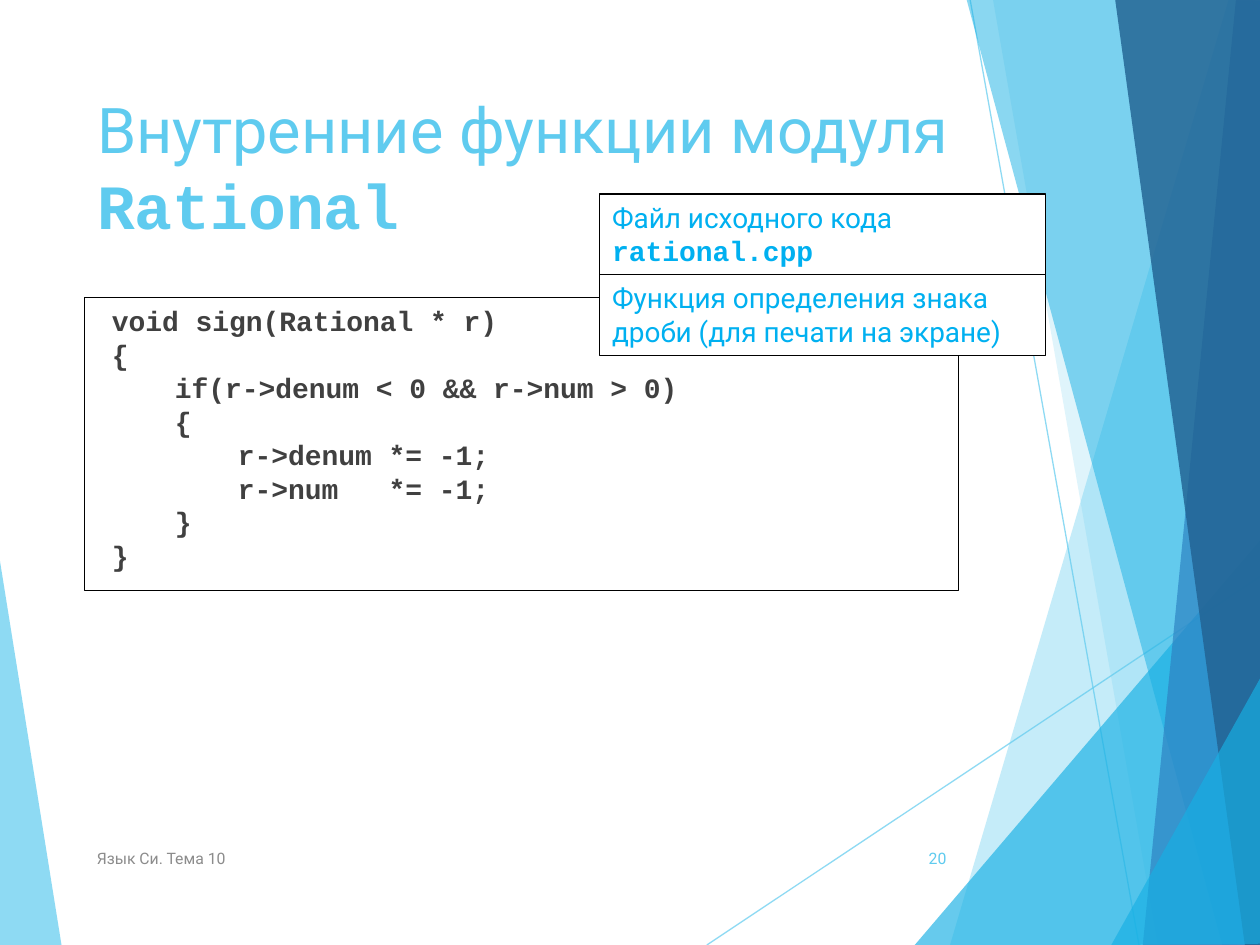
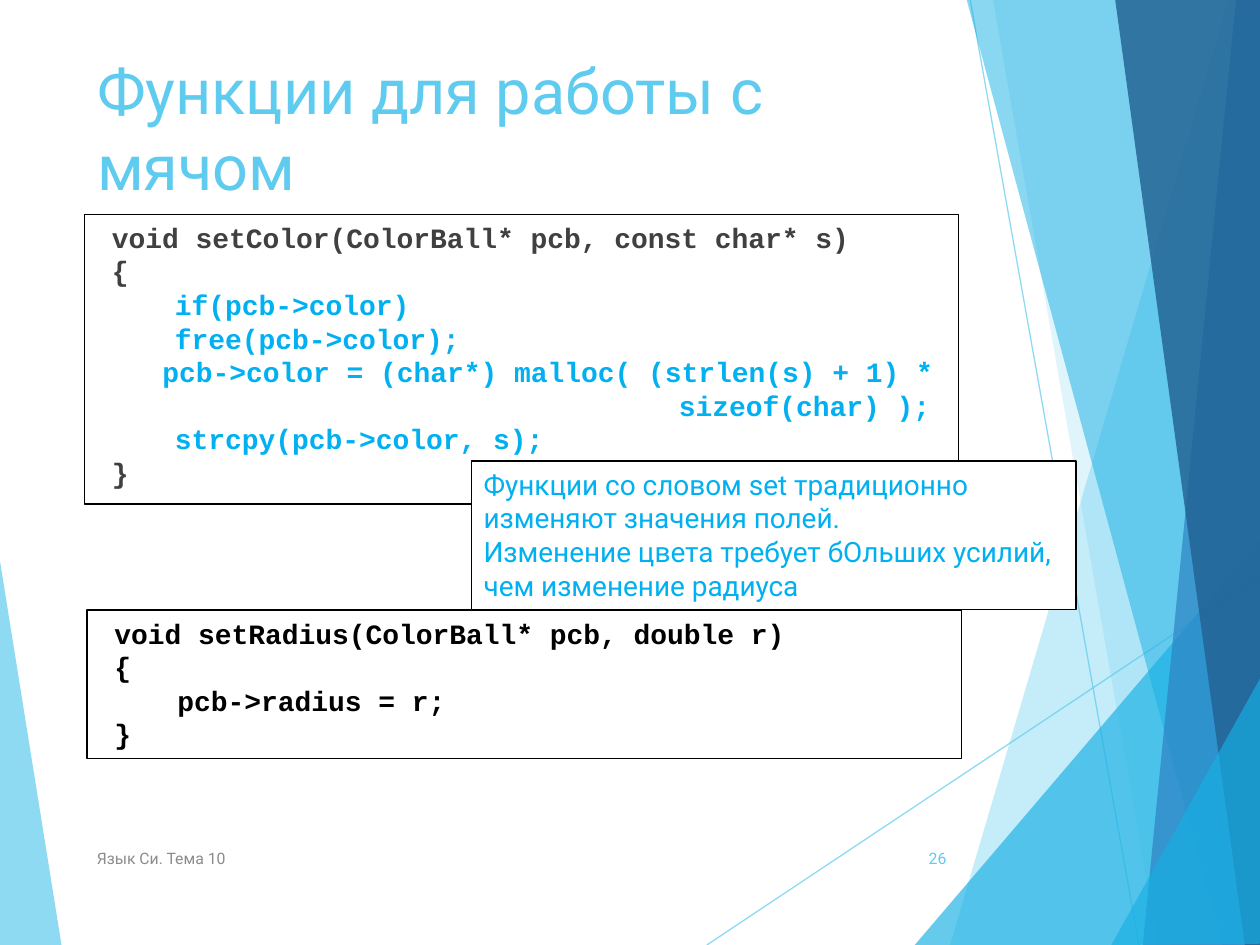
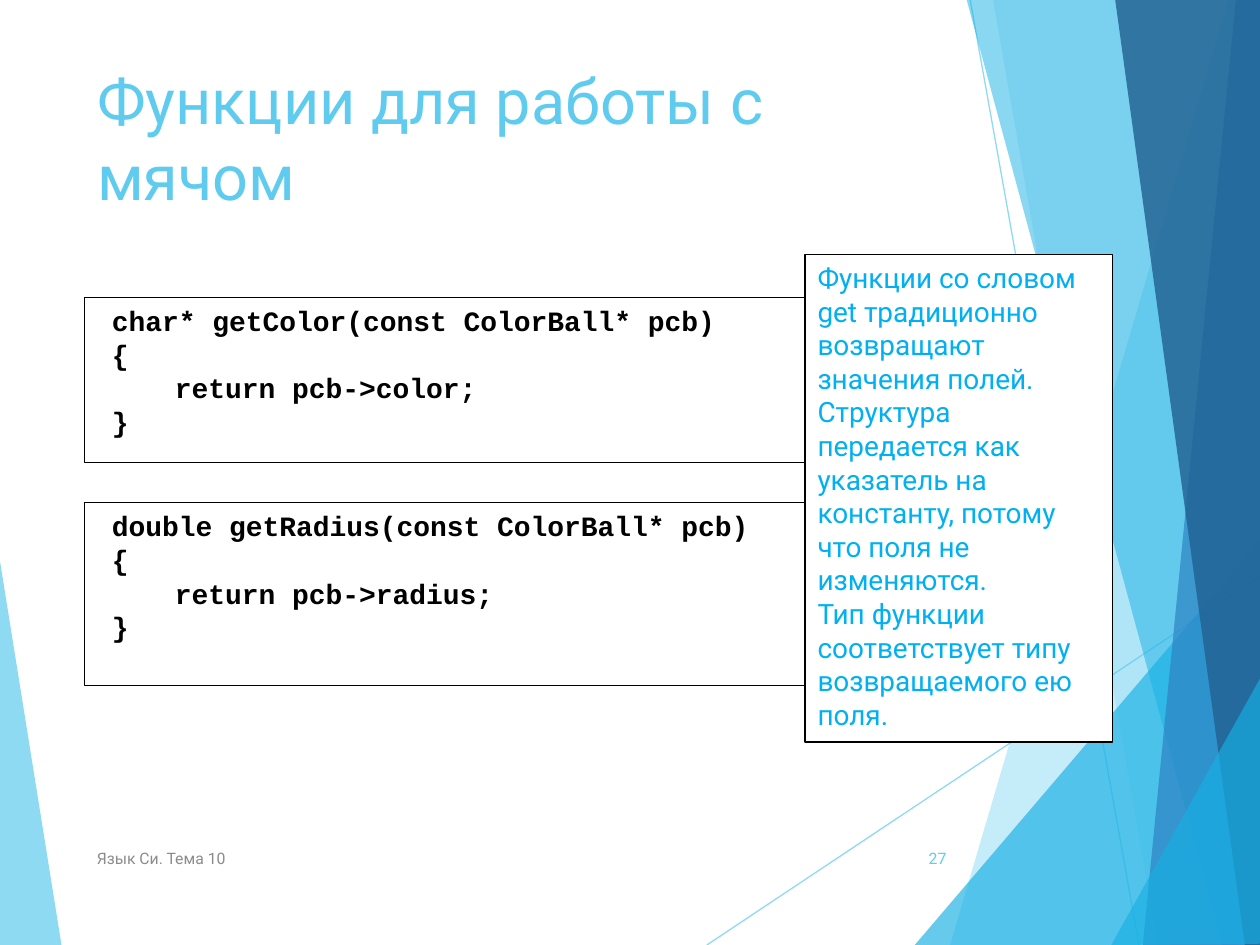
"""Builds three slides on C module functions with a shared faceted background."""
from lxml import etree
from pptx import Presentation
from pptx import util as u
from pptx.dml.color import RGBColor
from pptx.enum import shapes, text
from pptx.oxml.ns import qn

COLORS = {
    "sky": "5FCBEF", "cyan": "17B0E4", "blue": "2E83C3", "navy": "226292",
    "note": "00B0F0", "code": "404040", "footer": "8C8C8C",
    "black": "000000", "white": "FFFFFF",
}
SANS, MONO = "Roboto", "Courier New"
COLUMNS, ROWS = 100, 75
LEFT, WIDTH = 6.7, 69.4
FOOTER = "Язык Си. Тема 10"

FACETS = [
    ("sky", 36, [(97.5, 0), (75.4, 75), (100.2, 75.1), (100.1, 0.1)]),
    ("sky", 20, [(78.8, -0.1), (91.9, 75), (100.1, 75), (100.1, -0.1)]),
    ("cyan", 66, [(72.6, 75), (100, 42.9), (100.1, 75)]),
    ("cyan", 50, [(76.7, -0.1), (97, 75), (100.1, 74.9), (100.1, -0.1)]),
    ("blue", 70, [(98.1, -0.1), (90.7, 75), (100.1, 75), (100, -0.1)]),
    ("navy", 82, [(88.5, -0.1), (98.8, 75), (100.2, 75), (100, -0.1)]),
    ("cyan", 66, [(88.2, 75), (100.2, 53.5), (100.2, 74.9)]),
]
LEFT_FACET = ("sky", 70, [(-0.1, 43.9), (4.9, 75.1), (-0.1, 75)])
RAYS = [((56.1, 75), (100.1, 45.7)), ((77, 0), (90.4, 75))]


def rgb(name):
    """Return the named colour."""
    return RGBColor.from_string(COLORS[name])


def set_alpha(shape, percent):
    """Make every colour of a shape partly transparent."""
    for color in shape.element.iter(qn("a:srgbClr")):
        etree.SubElement(color, qn("a:alpha"), val=str(percent * 1000))


def write(paragraph, content, size=16, font=SANS, color="note", bold=False, align="LEFT"):
    """Add text, with line breaks at newlines, to a paragraph."""
    paragraph.alignment = getattr(text.PP_ALIGN, align)
    for number, line in enumerate(content.split("\n")):
        if number:
            paragraph.add_line_break()
        run = paragraph.add_run()
        run.text = line
        run.font.size, run.font.name, run.font.bold = u.Pt(size), font, bold
        run.font.color.rgb = rgb(color)


class Deck:
    """Holds the style, the presentation and the current slide."""

    def __init__(self):
        """Start a presentation with the shared background on its layout."""
        self.presentation = Presentation()
        self.presentation.slide_width = u.Inches(10)
        self.presentation.slide_height = u.Inches(7.5)
        self.layout = self.presentation.slide_layouts[5]
        self.slide = None

    def x(self, columns):
        """Convert grid columns to a length."""
        return round(self.presentation.slide_width * columns / COLUMNS)

    def y(self, rows):
        """Convert grid rows to a length."""
        return round(self.presentation.slide_height * rows / ROWS)

    def box(self, left, top, width, height):
        """Convert a grid box to lengths."""
        return self.x(left), self.y(top), self.x(width), self.y(height)

    def facet(self, group, color, alpha, points):
        """Draw one translucent polygon."""
        corners = [(self.x(column), self.y(row)) for column, row in points]
        builder = group.shapes.build_freeform(*corners[0])
        builder.add_line_segments(corners[1:], close=True)
        shape = builder.convert_to_shape()
        shape.shadow.inherit = False
        shape.fill.solid()
        shape.fill.fore_color.rgb = rgb(color)
        shape.line.fill.background()
        set_alpha(shape, alpha)

    def ray(self, group, start, end):
        """Draw one thin translucent line."""
        line = group.shapes.add_connector(
            shapes.MSO_CONNECTOR.STRAIGHT,
            self.x(start[0]), self.y(start[1]), self.x(end[0]), self.y(end[1]))
        line.line.color.rgb = rgb("sky")
        line.line.width = u.Pt(0.75)
        set_alpha(line, 70)
        etree.SubElement(line.element.spPr, qn("a:effectLst"))

    def background(self):
        """Draw the facets and rays and move them to the shared layout."""
        group = self.slide.shapes.add_group_shape()
        self.facet(group, *LEFT_FACET)
        for start, end in RAYS:
            self.ray(group, start, end)
        for facet in FACETS:
            self.facet(group, *facet)
        self.layout.shapes.element.append(group.element)

    def new_slide(self, number, title, top, width=WIDTH, code_name=""):
        """Add a slide with its title and footer."""
        first = self.slide is None
        self.slide = self.presentation.slides.add_slide(self.layout)
        if first:
            self.background()
        heading = self.slide.shapes.title
        heading.left, heading.top, heading.width, heading.height = self.box(LEFT, top, width, 14.4)
        frame = heading.text_frame
        frame.vertical_anchor = text.MSO_ANCHOR.TOP
        frame.auto_size = text.MSO_AUTO_SIZE.NONE
        write(frame.paragraphs[0], title, size=36, color="sky")
        if code_name:
            write(frame.paragraphs[0], code_name, size=36, color="sky", font=MONO, bold=True)
        self.footer(LEFT, 50.6, FOOTER, color="footer")
        self.footer(70.5, 5.6, str(number), color="sky", align="RIGHT")

    def text_box(self, left, top, width, height):
        """Add a wrapping text box."""
        shape = self.slide.shapes.add_textbox(*self.box(left, top, width, height))
        shape.text_frame.word_wrap = True
        return shape

    def framed_box(self, left, top, width, height):
        """Add a text box with a thin black frame."""
        shape = self.text_box(left, top, width, height)
        shape.line.color.rgb = rgb("black")
        shape.line.width = u.Pt(0.75)
        return shape

    def footer(self, left, width, content, **style):
        """Add one small text at the foot of the slide."""
        frame = self.text_box(left, 66.1, width, 4).text_frame
        frame.vertical_anchor = text.MSO_ANCHOR.MIDDLE
        write(frame.paragraphs[0], content, size=9, **style)

    def code(self, top, height, lines, left=LEFT, color="black", accents=(), hanging=None):
        """Add a framed listing; accents are coloured lines, hanging maps a line to its indents."""
        frame = self.framed_box(left, top, WIDTH, height).text_frame
        for number, line in enumerate(lines):
            paragraph = frame.add_paragraph() if number else frame.paragraphs[0]
            first, rest = (hanging or {}).get(number, (1.2, 1.2))
            properties = paragraph._p.get_or_add_pPr()
            properties.set("marL", str(self.x(rest)))
            properties.set("indent", str(self.x(first - rest)))
            properties.set("defTabSz", str(self.x(5)))
            write(paragraph, line, font=MONO, bold=True,
                  color="note" if number in accents else color)

    def note(self, left, top, width, height, *paragraphs, code_name=""):
        """Add a white framed comment."""
        shape = self.framed_box(left, top, width, height)
        shape.fill.solid()
        shape.fill.fore_color.rgb = rgb("white")
        frame = shape.text_frame
        for number, content in enumerate(paragraphs):
            write(frame.add_paragraph() if number else frame.paragraphs[0], content)
        if code_name:
            write(frame.paragraphs[-1], code_name, font=MONO, bold=True)


def main():
    """Build and save the slides."""
    deck = Deck()

    deck.new_slide(20, "Внутренние функции модуля ", 6.7, width=70.9, code_name="Rational")
    deck.code(23.6, 23.3, [
        "void sign(Rational * r)",
        "{",
        "\tif(r->denum < 0 && r->num > 0)",
        "\t{",
        "\t\tr->denum *= -1;",
        "\t\tr->num   *= -1;",
        "\t}",
        "}",
    ], color="code")
    deck.note(47.6, 15.4, 35.4, 6.4, "Файл исходного кода ", code_name="rational.cpp")
    deck.note(47.6, 21.8, 35.4, 6.4, "Функция определения знака дроби (для печати на экране)")

    deck.new_slide(26, "Функции для работы с мячом", 3.6)
    deck.code(17, 23, [
        "void setColor(ColorBall* pcb, const char* s)",
        "{",
        "\tif(pcb->color)",
        "\tfree(pcb->color);",
        "pcb->color = (char*) malloc( (strlen(s) + 1) * sizeof(char) );",
        "\tstrcpy(pcb->color, s);",
        "}",
    ], color="code", accents=range(2, 6), hanging={4: (5.2, 46.2)})
    deck.code(48.4, 11.8, [
        "void setRadius(ColorBall* pcb, double r)",
        "{",
        "\tpcb->radius = r;",
        "}",
    ], left=6.9)
    deck.note(37.4, 36.6, 48, 11.8,
              "Функции со словом set традиционно изменяют значения полей.\n"
              "Изменение цвета требует бОльших усилий, чем изменение радиуса")

    deck.new_slide(27, "Функции для работы с мячом", 4.4)
    getters = [("char*", "Color", 23.6, 13.1), ("double", "Radius", 39.9, 14.5)]
    for kind, field, top, height in getters:
        deck.code(top, height, [
            f"{kind} get{field}(const ColorBall* pcb)",
            "{",
            f"\treturn pcb->{field.lower()};",
            "}",
        ])
    deck.note(63.9, 20.2, 24.4, 38.7,
              "Функции со словом get традиционно возвращают значения полей.\n"
              "Структура передается как указатель на константу, потому что поля не изменяются.",
              "Тип функции соответствует типу возвращаемого ею поля.")

    deck.presentation.save("out.pptx")


if __name__ == "__main__":
    main()
